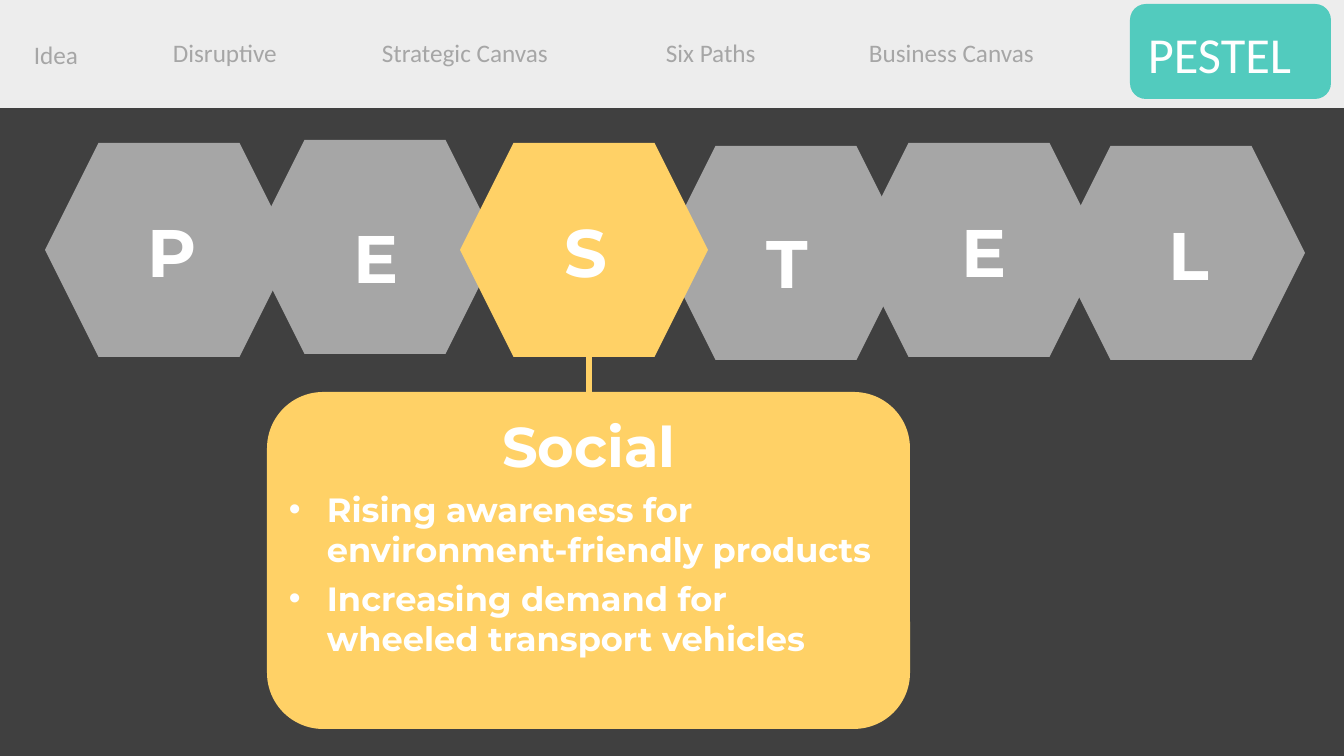
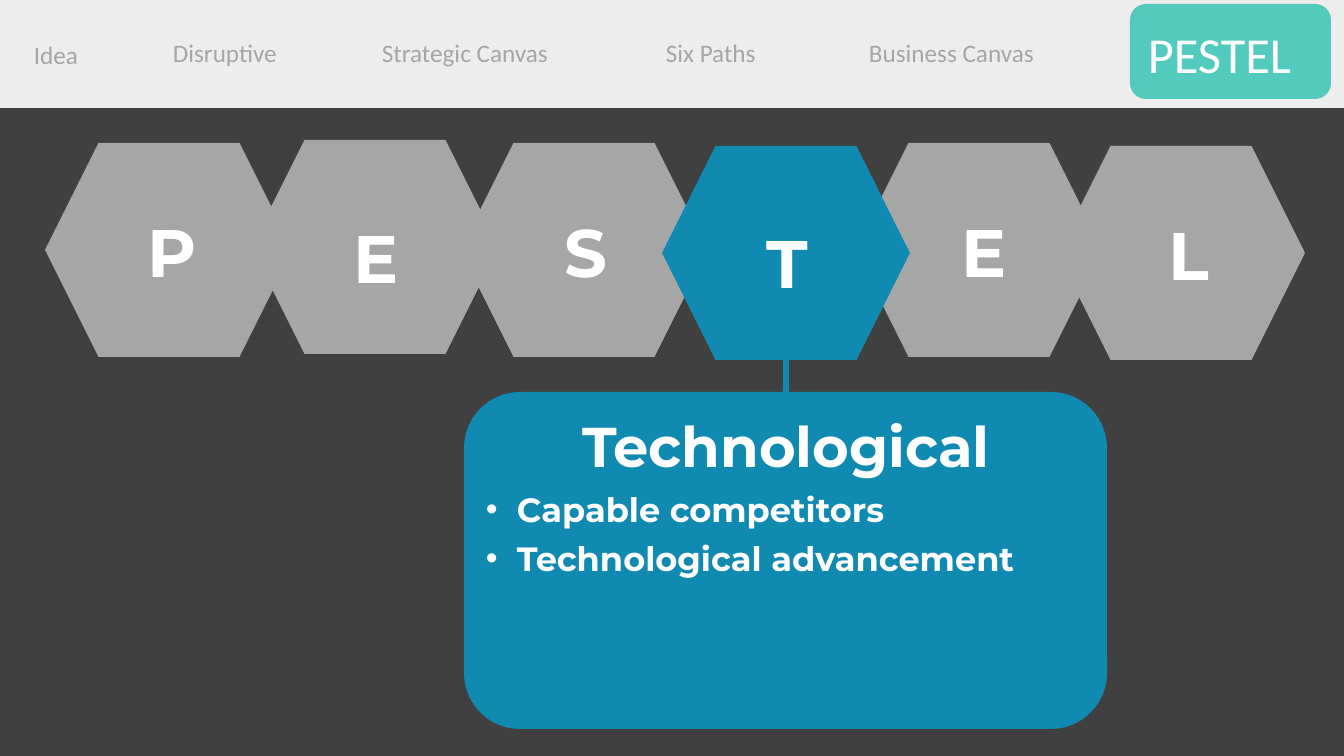
"""Build the PESTEL slides for the social and technological factors."""
from lxml import etree
from pptx import Presentation
from pptx.dml.color import RGBColor
from pptx.enum.shapes import MSO_CONNECTOR, MSO_SHAPE
from pptx.enum.text import MSO_ANCHOR, MSO_AUTO_SIZE, PP_ALIGN
from pptx.oxml.ns import qn
from pptx.util import Emu, Pt

RECTANGLE = MSO_SHAPE.RECTANGLE
ROUNDED = MSO_SHAPE.ROUNDED_RECTANGLE
HEXAGON = MSO_SHAPE.HEXAGON
STRAIGHT = MSO_CONNECTOR.STRAIGHT
LEFT = PP_ALIGN.LEFT
CENTER = PP_ALIGN.CENTER
TOP = MSO_ANCHOR.TOP
MIDDLE = MSO_ANCHOR.MIDDLE
NO_FIT = MSO_AUTO_SIZE.NONE

WIDTH, HEIGHT = 1344, 756
SCALE = 12192000 / WIDTH
TITLE_ONLY = 5

DARK = "404040"
GRAY = "A6A6A6"
PALE = "EDEDED"
TEAL = "52CBBE"
WHITE = "FFFFFF"
YELLOW = "FFD166"
BLUE = "118AB2"
NAV_FONT = "Calibri"
MAIN_FONT = "Montserrat"

NAV_ITEMS = [
    ("Idea", 24, 34, 72),
    ("Disruptive", 163, 32, 150),
    ("Strategic Canvas", 372, 32, 222),
    ("Six Paths", 656, 32, 140),
    ("Business Canvas", 859, 32, 216),
]

# letter, hexagon left and top, letter box left and top
FACTORS = [
    ("P", 45, 143, 120, 205),
    ("E", 251, 140, 324, 211),
    ("S", 460, 143, 533, 205),
    ("T", 662, 146, 735, 216),
    ("E", 855, 143, 932, 205),
    ("L", 1057, 146, 1136, 208),
]

SLIDES = [
    ("S", "Social", YELLOW, 589, 38,
     ["Rising awareness for environment-friendly products",
      "Increasing demand for wheeled transport vehicles"]),
    ("T", "Technological", BLUE, 786, 31,
     ["Capable competitors", "Technological advancement"]),
]


def px(length):
    """Turn pixels into EMU."""
    return Emu(round(length * SCALE))


def color(value):
    """Turn a hex string into a colour."""
    return RGBColor.from_string(value)


class Deck:
    """Hold the style and the current slide."""

    def __init__(self):
        """Start an empty wide presentation."""
        self.deck = Presentation()
        self.deck.slide_width = px(WIDTH)
        self.deck.slide_height = px(HEIGHT)
        self.page = None

    def add_page(self):
        """Add a dark slide."""
        self.page = self.deck.slides.add_slide(self.deck.slide_layouts[TITLE_ONLY])
        fill = self.page.background.fill
        fill.solid()
        fill.fore_color.rgb = color(DARK)

    def shape(self, kind, left, top, width, height, fill, parent=None):
        """Draw a flat preset shape on the slide or in a group."""
        shapes = (parent or self.page).shapes
        box = shapes.add_shape(kind, px(left), px(top), px(width), px(height))
        box.shadow.inherit = False
        box.fill.solid()
        box.fill.fore_color.rgb = color(fill)
        box.line.fill.background()
        return box

    def style(self, para, font, size, ink, bold=False, align=LEFT):
        """Format a paragraph and its runs."""
        para.alignment = align
        for span in para.runs:
            span.font.name = font
            span.font.size = Pt(size)
            span.font.bold = bold
            span.font.color.rgb = color(ink)

    def text(self, words, left, top, width, height, font, size, ink,
             bold=False, align=LEFT, parent=None):
        """Write one line in a text box."""
        shapes = (parent or self.page).shapes
        box = shapes.add_textbox(px(left), px(top), px(width), px(height))
        frame = box.text_frame
        frame.word_wrap = True
        frame.vertical_anchor = MIDDLE
        frame.text = words
        self.style(frame.paragraphs[0], font, size, ink, bold, align)

    def title(self, words, left, top, width, height, behind):
        """Place the title placeholder in front of a shape."""
        box = self.page.shapes.title
        box.left, box.top = px(left), px(top)
        box.width, box.height = px(width), px(height)
        frame = box.text_frame
        frame.text = words
        frame.word_wrap = True
        frame.auto_size = NO_FIT
        frame.vertical_anchor = MIDDLE
        self.style(frame.paragraphs[0], MAIN_FONT, 40, WHITE, True, CENTER)
        behind.element.addnext(box.element)

    def bullets(self, items, left, top, width, height, indent):
        """Write a bulleted list with hanging indents."""
        box = self.page.shapes.add_textbox(px(left), px(top), px(width), px(height))
        frame = box.text_frame
        frame.word_wrap = True
        frame.vertical_anchor = TOP
        for number, item in enumerate(items):
            para = frame.add_paragraph() if number else frame.paragraphs[0]
            para.text = item
            para.space_after = Pt(6)
            properties = para._p.get_or_add_pPr()
            properties.set("marL", str(px(indent)))
            properties.set("indent", str(-px(indent)))
            etree.SubElement(properties, qn("a:buFont"), typeface="Arial")
            etree.SubElement(properties, qn("a:buChar"), char="•")
            self.style(para, MAIN_FONT, 24, WHITE, True)

    def stem(self, x, top, bottom, ink):
        """Draw a vertical line without a shadow."""
        line = self.page.shapes.add_connector(STRAIGHT, px(x), px(top), px(x), px(bottom))
        line.line.color.rgb = color(ink)
        line.line.width = Pt(4.5)
        etree.SubElement(line.element.spPr, qn("a:effectLst"))

    def navigation(self):
        """Draw the top band with its section names."""
        self.shape(RECTANGLE, 0, 0, WIDTH, 108, PALE)
        self.shape(ROUNDED, 1130, 4, 201, 95, TEAL)
        for words, left, top, width in NAV_ITEMS:
            self.text(words, left, top, width, 40, NAV_FONT, 18, GRAY)
        self.text("PESTEL", 1138, 17, 200, 72, NAV_FONT, 36, WHITE)

    def factors(self, active, accent):
        """Draw the row of hexagons with the active one in front."""
        for factor in sorted(FACTORS, key=lambda entry: entry[0] == active):
            letter, left, top, letter_left, letter_top = factor
            group = self.page.shapes.add_group_shape()
            fill = accent if letter == active else GRAY
            self.shape(HEXAGON, left, top, 248, 214, fill, group)
            self.text(letter, letter_left, letter_top, 105, 92,
                      MAIN_FONT, 48, WHITE, True, CENTER, group)

    def card(self, heading, items, center, indent, accent):
        """Draw the card that explains the active factor."""
        left = center - 322
        box = self.shape(ROUNDED, left, 392, 643, 337, accent)
        self.title(heading, center - 224, 406, 448, 78, box)
        self.bullets(items, left + 12, 484, 612, 181, indent)


def main():
    """Build and save the slides."""
    deck = Deck()
    for active, heading, accent, center, indent, items in SLIDES:
        deck.add_page()
        deck.navigation()
        deck.stem(center, 317, 406, accent)
        deck.factors(active, accent)
        deck.card(heading, items, center, indent, accent)
    deck.deck.save("out.pptx")


if __name__ == "__main__":
    main()
